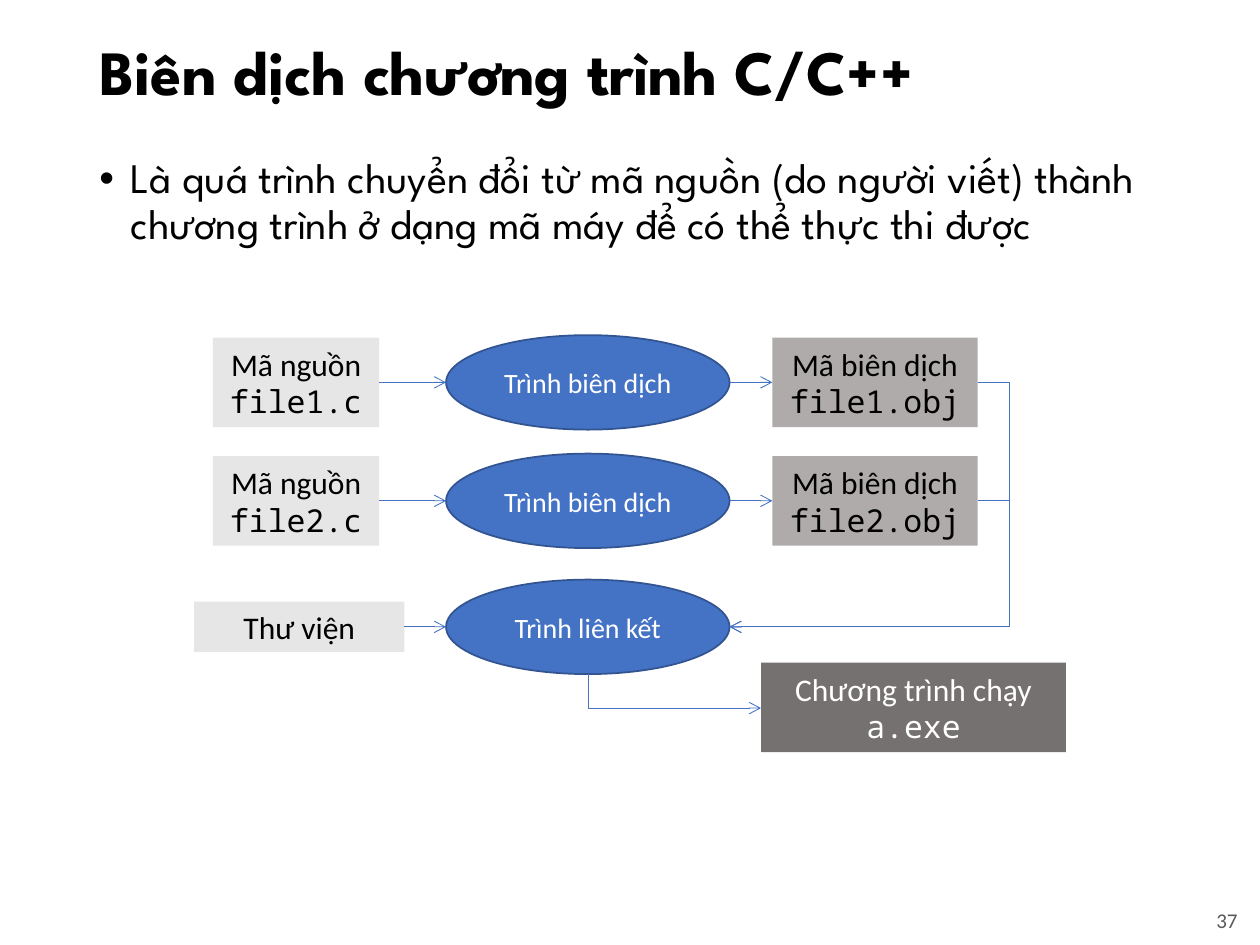
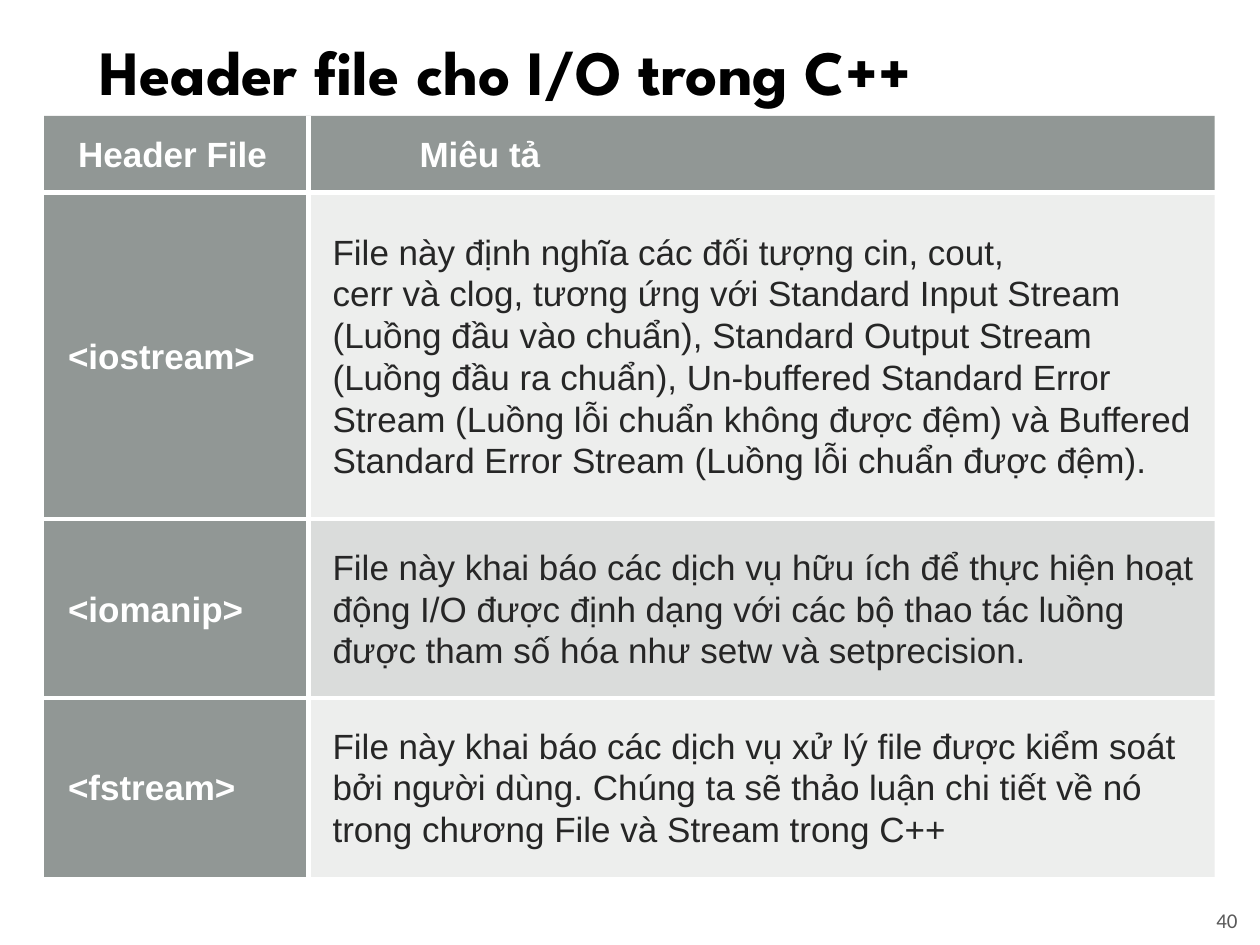
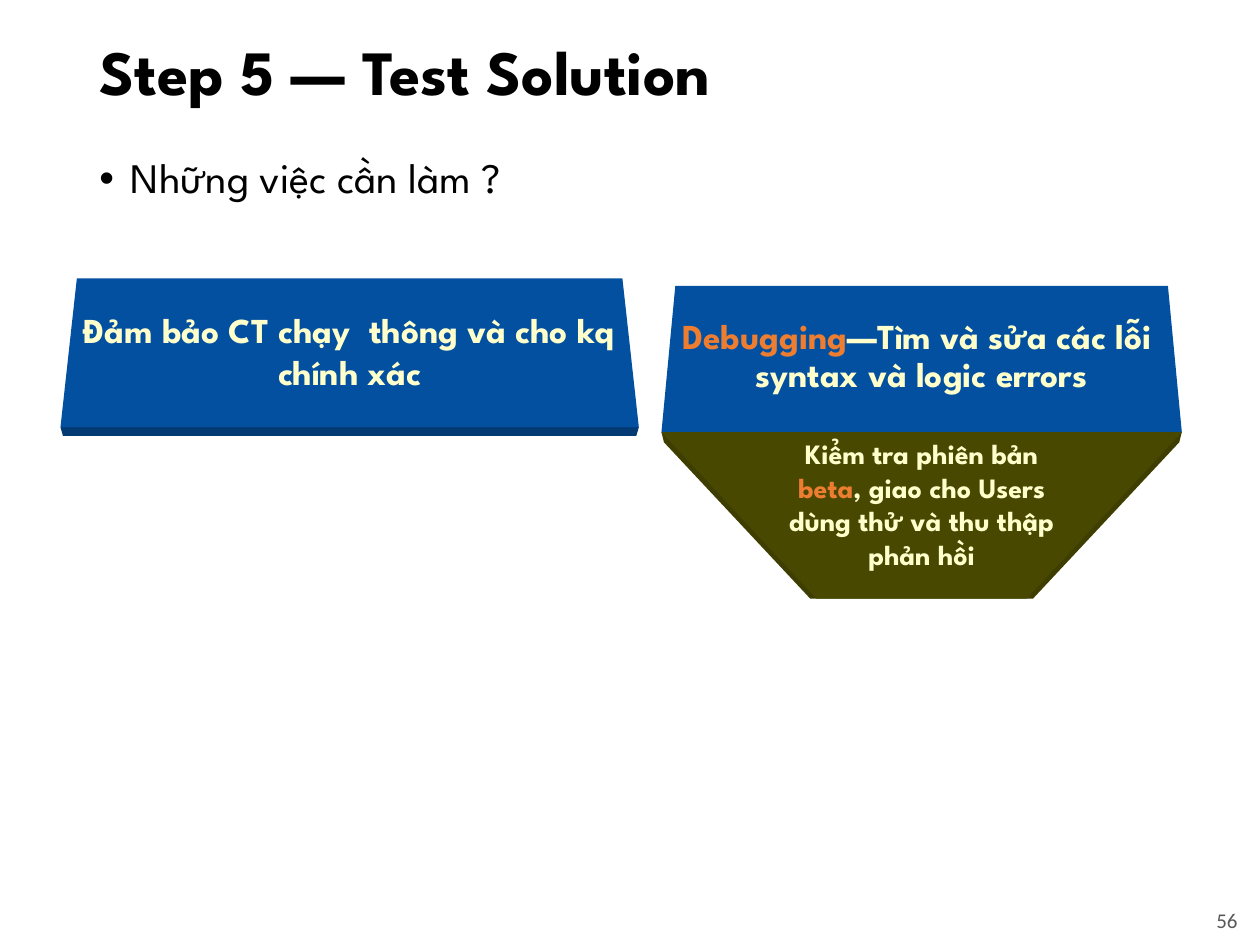
from lxml import etree
from pptx import Presentation
from pptx.dml.color import RGBColor
from pptx.enum.shapes import MSO_CONNECTOR as LINK, MSO_SHAPE as SHAPE
from pptx.enum.text import MSO_ANCHOR as ANCHOR, PP_ALIGN as ALIGN
from pptx.oxml.ns import qn
from pptx.util import Inches, Pt

COLORS = {
    "black": "000000", "white": "FFFFFF", "number": "595959", "ink": "262626",
    "blue": "4472C4", "blue_edge": "325491", "source": "E7E6E6",
    "object": "AFABAB", "program": "767171", "head": "636B68", "band": "878E8B",
    "navy": "0350A0", "navy_edge": "033A73", "olive": "484800",
    "olive_edge": "3E3E00", "cream": "FFFFCC", "orange": "ED7D31",
}
HEADING, BODY, CODE = "League Spartan", "Calibri", "Noto Sans Mono"
NBSP = chr(160)  # keeps words on one line


def write(shape, lines, size, color, font=BODY, bold=False,
          align=ALIGN.CENTER, anchor=ANCHOR.MIDDLE, spacing=None):
    """Fill a shape or cell with paragraphs, each given as a list of spans."""
    frame = shape.text_frame
    frame.word_wrap = True
    frame.vertical_anchor = anchor
    for index, spans in enumerate(lines):
        para = frame.add_paragraph() if index else frame.paragraphs[0]
        para.alignment = align
        para.line_spacing = spacing
        for text in spans:
            span = para.add_run()
            span.text = text
            span.font.size = Pt(size)
            span.font.name = font
            span.font.bold = bold
            span.font.color.rgb = RGBColor.from_string(COLORS[color])
    return frame


def connect(page, kind, x1, y1, x2, y2):
    """Draw a thin blue arrow ending at the second point."""
    arrow = page.shapes.add_connector(
        kind, Inches(x1), Inches(y1), Inches(x2), Inches(y2))
    arrow.line.color.rgb = RGBColor.from_string(COLORS["blue"])
    arrow.line.width = Pt(0.5)
    line = arrow._element.spPr.find(qn("a:ln"))
    etree.SubElement(line, qn("a:tailEnd"), type="arrow")
    etree.SubElement(arrow._element.spPr, qn("a:effectLst"))
    return arrow


deck = Presentation()
deck.slide_width, deck.slide_height = Inches(10), Inches(7.5)

# Shared title, bullet and slide number
pages = []
for title, bullet, number in [
    ("Biên dịch chương trình C/C++",
     "Là quá trình chuyển đổi từ mã nguồn (do người viết) thành "
     "chương trình ở dạng mã máy để có thể thực thi được", "37"),
    ("Header file cho I/O trong C++", None, "40"),
    ("Step 5 — Test Solution", "Những việc cần làm ?", "56"),
]:
    page = deck.slides.add_slide(deck.slide_layouts[6])
    pages.append(page)
    box = page.shapes.add_textbox(Inches(0.69), Inches(0.16), Inches(8.62), Inches(0.87))
    write(box, [[title]], 36, "black", HEADING, True, ALIGN.LEFT, spacing=0.9)
    box = page.shapes.add_textbox(Inches(8.67), Inches(7.1), Inches(1.25), Inches(0.4))
    write(box, [[number]], 12, "number", align=ALIGN.RIGHT)
    if bullet:
        box = page.shapes.add_textbox(Inches(0.69), Inches(1.2), Inches(8.62), Inches(5.45))
        frame = write(box, [[bullet]], 24, "black", HEADING,
                      align=ALIGN.LEFT, anchor=ANCHOR.TOP, spacing=0.9)
        para = frame.paragraphs[0]
        para.space_before = Pt(10)
        props = para._p.get_or_add_pPr()
        props.set("marL", str(Inches(0.25)))
        props.set("indent", str(-Inches(0.25)))
        etree.SubElement(props, qn("a:buFont"), typeface="Arial")
        etree.SubElement(props, qn("a:buChar"), char="•")

compile_page, header_page, test_page = pages

# Compilation flow: nodes are placed by left edge and vertical centre
ROW_1, ROW_2, LINK_ROW, EXE_ROW = 3.035, 3.975, 4.975, 5.615
nodes = {}
for name, left, middle, width, height, fill, color, lines in [
    ("source1", 1.69, ROW_1, 1.32, 0.71, "source", "black", ["Mã nguồn", "file1.c"]),
    ("object1", 6.13, ROW_1, 1.63, 0.71, "object", "black", ["Mã biên dịch", "file1.obj"]),
    ("source2", 1.69, ROW_2, 1.32, 0.71, "source", "black", ["Mã nguồn", "file2.c"]),
    ("object2", 6.13, ROW_2, 1.63, 0.71, "object", "black", ["Mã biên dịch", "file2.obj"]),
    ("library", 1.54, LINK_ROW, 1.67, 0.4, "source", "black", ["Thư viện"]),
    ("program", 6.04, EXE_ROW, 2.42, 0.71, "program", "white", ["Chương trình chạy", "a.exe"]),
    ("compiler1", 3.54, ROW_1, 2.25, 0.75, "blue", "white", ["Trình biên dịch"]),
    ("compiler2", 3.54, ROW_2, 2.25, 0.75, "blue", "white", ["Trình biên dịch"]),
    ("linker", 3.54, LINK_ROW, 2.25, 0.75, "blue", "white", ["Trình liên kết"]),
]:
    tool = fill == "blue"
    node = compile_page.shapes.add_shape(
        SHAPE.OVAL if tool else SHAPE.RECTANGLE,
        Inches(left), Inches(middle - height / 2), Inches(width), Inches(height))
    node.shadow.inherit = False
    node.fill.solid()
    node.fill.fore_color.rgb = RGBColor.from_string(COLORS[fill])
    if tool:
        node.line.color.rgb = RGBColor.from_string(COLORS["blue_edge"])
        node.line.width = Pt(1)
    else:
        node.line.fill.background()
    frame = write(node, [[line] for line in lines], 16 if tool else 18, color)
    frame.word_wrap = tool
    for para in frame.paragraphs[1:]:
        para.runs[0].font.name = CODE
    nodes[name] = node

for source, x, y in [("source1", 3.01, ROW_1), ("source2", 3.01, ROW_2),
                     ("library", 3.21, LINK_ROW)]:
    arrow = connect(compile_page, LINK.STRAIGHT, x, y, 3.54, y)
    arrow.begin_connect(nodes[source], 3)
for target, y in [("object1", ROW_1), ("object2", ROW_2)]:
    arrow = connect(compile_page, LINK.STRAIGHT, 5.79, y, 6.13, y)
    arrow.end_connect(nodes[target], 1)
    elbow = connect(compile_page, LINK.ELBOW, 7.76, y, 5.79, LINK_ROW)
    guides = elbow._element.spPr.find(qn("a:prstGeom")).get_or_add_avLst()
    etree.SubElement(guides, qn("a:gd"), name="adj1", fmla="val -12700")

# A quarter turn makes the two-part elbow go down first, then right
elbow = connect(compile_page, LINK.ELBOW, 5.49, 4.8, 5.22, 6.17)
elbow._element.spPr.find(qn("a:prstGeom")).set("prst", "bentConnector2")
elbow._element.spPr.find(qn("a:xfrm")).set("rot", "16200000")

# Header file table
rows = [
    ("Header File", "Miêu tả"),
    ("<iostream>",
     f"File này định nghĩa các đối tượng{NBSP}cin, cout, cerr{NBSP}và{NBSP}clog, tương ứng với "
     "Standard Input Stream (Luồng đầu vào chuẩn), Standard Output Stream "
     "(Luồng đầu ra chuẩn), Un-buffered Standard Error Stream (Luồng lỗi chuẩn "
     "không được đệm) và Buffered Standard Error Stream (Luồng lỗi chuẩn được đệm)."),
    ("<iomanip>",
     "File này khai báo các dịch vụ hữu ích để thực hiện hoạt động I/O được "
     "định dạng với các bộ thao tác luồng được tham số hóa "
     f"như{NBSP}setw{NBSP}và{NBSP}setprecision."),
    ("<fstream>",
     "File này khai báo các dịch vụ xử lý file được kiểm soát bởi người dùng. "
     "Chúng ta sẽ thảo luận chi tiết về nó trong chương File và Stream trong C++"),
]
table = header_page.shapes.add_table(
    4, 2, Inches(0.35), Inches(0.92), Inches(9.29), Inches(6.04)).table
for column, width in zip(table.columns, (2.1, 7.19)):
    column.width = Inches(width)
for row, height in zip(table.rows, (0.61, 2.59, 1.42, 1.42)):
    row.height = Inches(height)
for r, texts in enumerate(rows):
    for c, text in enumerate(texts):
        cell = table.cell(r, c)
        heading = r == 0 or c == 0
        write(cell, [[text]], 20, "white" if heading else "ink", "Arial",
              heading, ALIGN.LEFT, spacing=1.07)
        cell.vertical_anchor = ANCHOR.MIDDLE
        cell.margin_left = Inches((0.27, 0.88)[c] if r == 0 else 0.19)
        cell.margin_right = cell.margin_top = cell.margin_bottom = Inches(0.11)
        props = cell._tc.get_or_add_tcPr()
        for side, inner in [("lnL", c > 0), ("lnR", c < 1), ("lnT", r > 0), ("lnB", r < 3)]:
            border = etree.SubElement(props, qn(f"a:{side}"), w=str(Pt(3) if inner else 0))
            if inner:
                paint = etree.SubElement(border, qn("a:solidFill"))
                etree.SubElement(paint, qn("a:srgbClr"), val=COLORS["white"])
            else:
                etree.SubElement(border, qn("a:noFill"))
        cell.fill.solid()
        cell.fill.fore_color.rgb = RGBColor.from_string(COLORS["head" if heading else "band"])
        opacity = 70 if heading else 15 if r % 2 else 30
        tint = props.find(qn("a:solidFill")).find(qn("a:srgbClr"))
        etree.SubElement(tint, qn("a:alpha"), val=str(opacity * 1000))

# Slanted panels, each with a darker edge drawn first
panels = [
    ("navy_edge", [(0.48, 3.39), (5.07, 3.39), (5.05, 3.46), (0.5, 3.46)], []),
    ("navy", [(0.61, 2.21), (4.94, 2.21), (5.07, 3.39), (0.48, 3.39)],
     ["Đảm bảo CT chạy  thông và cho kq chính xác"]),
    ("navy", [(5.36, 2.27), (9.27, 2.27), (9.38, 3.43), (5.25, 3.43)],
     ["Debugging", "—Tìm và sửa các lỗi  syntax và logic errors"]),
    ("olive_edge", [(5.25, 3.43), (9.38, 3.43), (9.36, 3.51), (8.2, 4.75),
                    (6.43, 4.75), (5.27, 3.51)], []),
    ("olive", [(5.25, 3.43), (9.38, 3.43), (8.15, 4.75), (6.48, 4.75)],
     ["Kiểm tra phiên bản ", "beta", ", giao cho Users dùng thử và thu thập phản hồi"]),
]
for fill, points, spans in panels:
    corners = [(Inches(x), Inches(y)) for x, y in points]
    outline = test_page.shapes.build_freeform(*corners[0])
    outline.add_line_segments(corners[1:], close=True)
    panel = outline.convert_to_shape()
    panel.shadow.inherit = False
    panel.fill.solid()
    panel.fill.fore_color.rgb = RGBColor.from_string(COLORS[fill])
    panel.line.fill.background()
    if spans:
        olive = fill == "olive"
        frame = write(panel, [spans], 16 if olive else 20, "cream", HEADING, True,
                      spacing=0.9 if len(spans) == 2 else None)
        frame.margin_left = frame.margin_right = Inches(0.96 if olive else 0.05)
        frame.margin_top = 0
        frame.margin_bottom = Inches(0.18 if olive else 0.03)
        for span in frame.paragraphs[0].runs:
            if span.text in ("Debugging", "beta"):
                span.font.color.rgb = RGBColor.from_string(COLORS["orange"])

deck.save("out.pptx")
